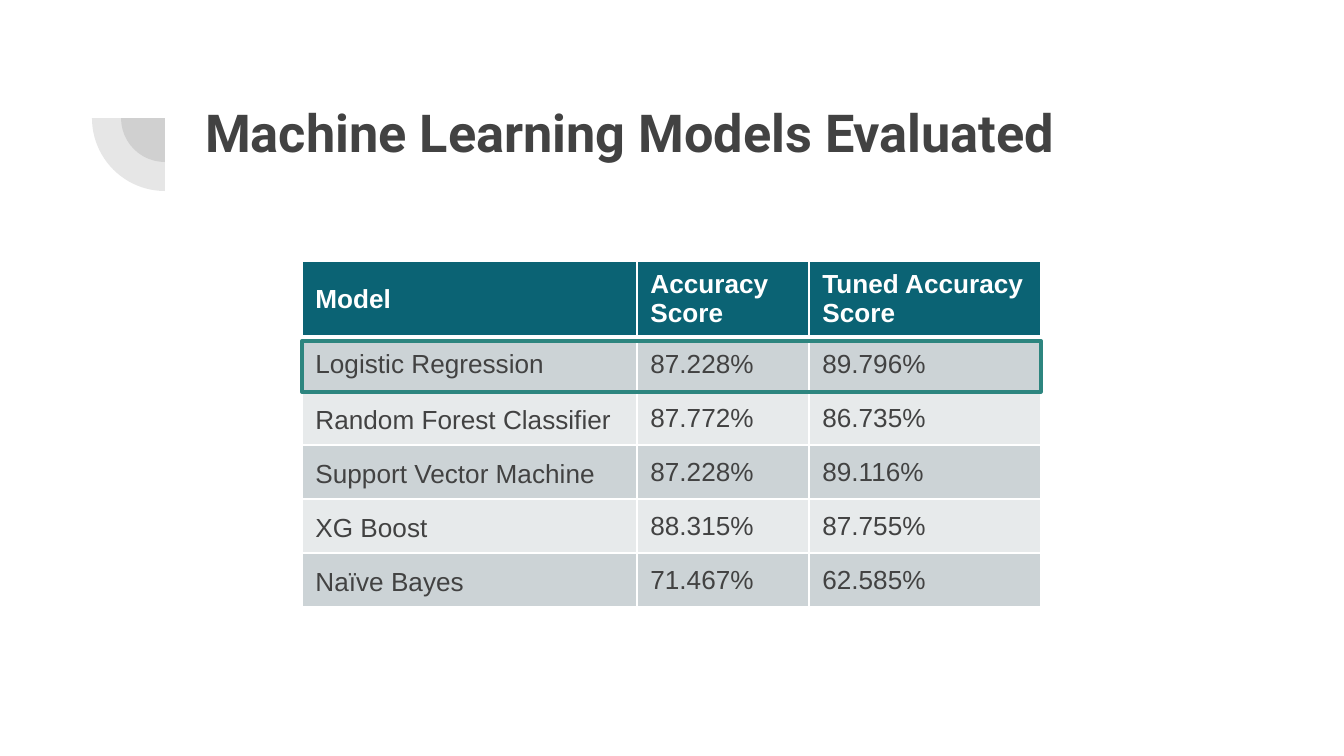
"""Build a slide that compares the accuracy of machine learning models."""
from lxml.etree import SubElement
from pptx import Presentation
from pptx.dml.color import RGBColor
from pptx.enum.shapes import MSO_SHAPE
from pptx.enum.text import MSO_ANCHOR
from pptx.oxml import parse_xml
from pptx.oxml.ns import nsdecls, qn
from pptx.util import Pt

SCALE = 914400 / 134.4
WHITE = RGBColor(0xFF, 0xFF, 0xFF)
CHARCOAL = RGBColor(0x42, 0x42, 0x42)
PETROL = RGBColor(0x0B, 0x63, 0x74)
TEAL = RGBColor(0x2D, 0x85, 0x7F)
BANDS = (RGBColor(0xCC, 0xD3, 0xD6), RGBColor(0xE7, 0xEA, 0xEB))

TABLE_LEFT, TABLE_TOP = 302, 261
COLUMN_WIDTHS = (335, 172, 232)
ROW_HEIGHT = 54
ROWS = (
    ("Model", "Accuracy Score", "Tuned Accuracy Score"),
    ("Logistic Regression", "87.228%", "89.796%"),
    ("Random Forest Classifier", "87.772%", "86.735%"),
    ("Support Vector Machine", "87.228%", "89.116%"),
    ("XG Boost", "88.315%", "87.755%"),
    ("Naïve Bayes", "71.467%", "62.585%"),
)


def px(*lengths):
    """Turn pixel lengths into EMU."""
    return [round(length * SCALE) for length in lengths]


class SlideBuilder:
    """Hold the style and the current slide, and draw its elements."""

    def __init__(self, presentation):
        self.title_font = "Roboto"
        self.body_font = "Arial"
        self.slide = presentation.slides.add_slide(presentation.slide_layouts[6])

    def style_text(self, paragraph, font_name, size, color, bold):
        """Format every run of a paragraph."""
        for run in paragraph.runs:
            run.font.name = font_name
            run.font.size = Pt(size)
            run.font.color.rgb = color
            run.font.bold = bold

    def quarter_disc(self, center_x, center_y, radius):
        """Draw a translucent lower-left quarter of a disc."""
        box = px(center_x - radius, center_y - radius, 2 * radius, 2 * radius)
        shape = self.slide.shapes.add_shape(MSO_SHAPE.PIE, *box)
        shape.adjustments[0] = 108
        shape.adjustments[1] = 162
        shape.rotation = 270
        shape.shadow.inherit = False
        shape.fill.solid()
        shape.fill.fore_color.rgb = CHARCOAL
        shape.line.fill.background()
        color = shape._element.spPr.find(qn("a:solidFill"))[0]
        SubElement(color, qn("a:alpha"), val="13000")

    def title(self, text, left, top, width, height):
        """Write the slide title."""
        shape = self.slide.shapes.add_textbox(*px(left, top, width, height))
        text_frame = shape.text_frame
        text_frame.word_wrap = True
        text_frame.margin_left = text_frame.margin_right = Pt(7.2)
        text_frame.margin_top = text_frame.margin_bottom = Pt(7.2)
        text_frame.text = text
        self.style_text(text_frame.paragraphs[0], self.title_font, 28, CHARCOAL, True)

    def cell_borders(self, cell, bottom_width):
        """Give a cell white borders."""
        properties = cell._tc.get_or_add_tcPr()
        widths = {"lnL": 1, "lnR": 1, "lnT": 1, "lnB": bottom_width}
        for index, (tag, width) in enumerate(widths.items()):
            border = parse_xml(
                f'<a:{tag} {nsdecls("a")} w="{Pt(width)}"><a:solidFill>'
                f'<a:srgbClr val="{WHITE}"/></a:solidFill></a:{tag}>'
            )
            properties.insert(index, border)

    def table(self, rows, left, top, column_widths, row_height):
        """Draw a table with a dark header and banded rows."""
        box = px(left, top, sum(column_widths), row_height * len(rows))
        frame = self.slide.shapes.add_table(len(rows), len(column_widths), *box)
        table = frame.table
        for column, width in zip(table.columns, px(*column_widths)):
            column.width = width
        for row_index, row in enumerate(rows):
            header = row_index == 0
            for column_index, text in enumerate(row):
                cell = table.cell(row_index, column_index)
                cell.text_frame.text = text
                cell.vertical_anchor = MSO_ANCHOR.MIDDLE
                cell.fill.solid()
                cell.fill.fore_color.rgb = PETROL if header else BANDS[(row_index - 1) % 2]
                self.cell_borders(cell, 3 if header else 1)
                paragraph = cell.text_frame.paragraphs[0]
                color = WHITE if header else CHARCOAL
                self.style_text(paragraph, self.body_font, 14, color, header)
                if row_index > 1 and column_index == 0:
                    paragraph.line_spacing = 1.15
                    paragraph.space_after = Pt(12)

    def highlight(self, left, top, width, height):
        """Outline a table row."""
        shape = self.slide.shapes.add_shape(MSO_SHAPE.RECTANGLE, *px(left, top, width, height))
        shape.shadow.inherit = False
        shape.fill.background()
        shape.line.color.rgb = TEAL
        shape.line.width = Pt(2)


def main():
    """Build and save the presentation."""
    presentation = Presentation()
    presentation.slide_width, presentation.slide_height = px(1344, 756)
    builder = SlideBuilder(presentation)
    for radius in (44, 73):
        builder.quarter_disc(165, 118, radius)
    builder.title("Machine Learning Models Evaluated", 192, 87, 1034, 146)
    builder.table(ROWS, TABLE_LEFT, TABLE_TOP, COLUMN_WIDTHS, ROW_HEIGHT)
    builder.highlight(TABLE_LEFT, 341, sum(COLUMN_WIDTHS), 51)
    presentation.save("out.pptx")


if __name__ == "__main__":
    main()
